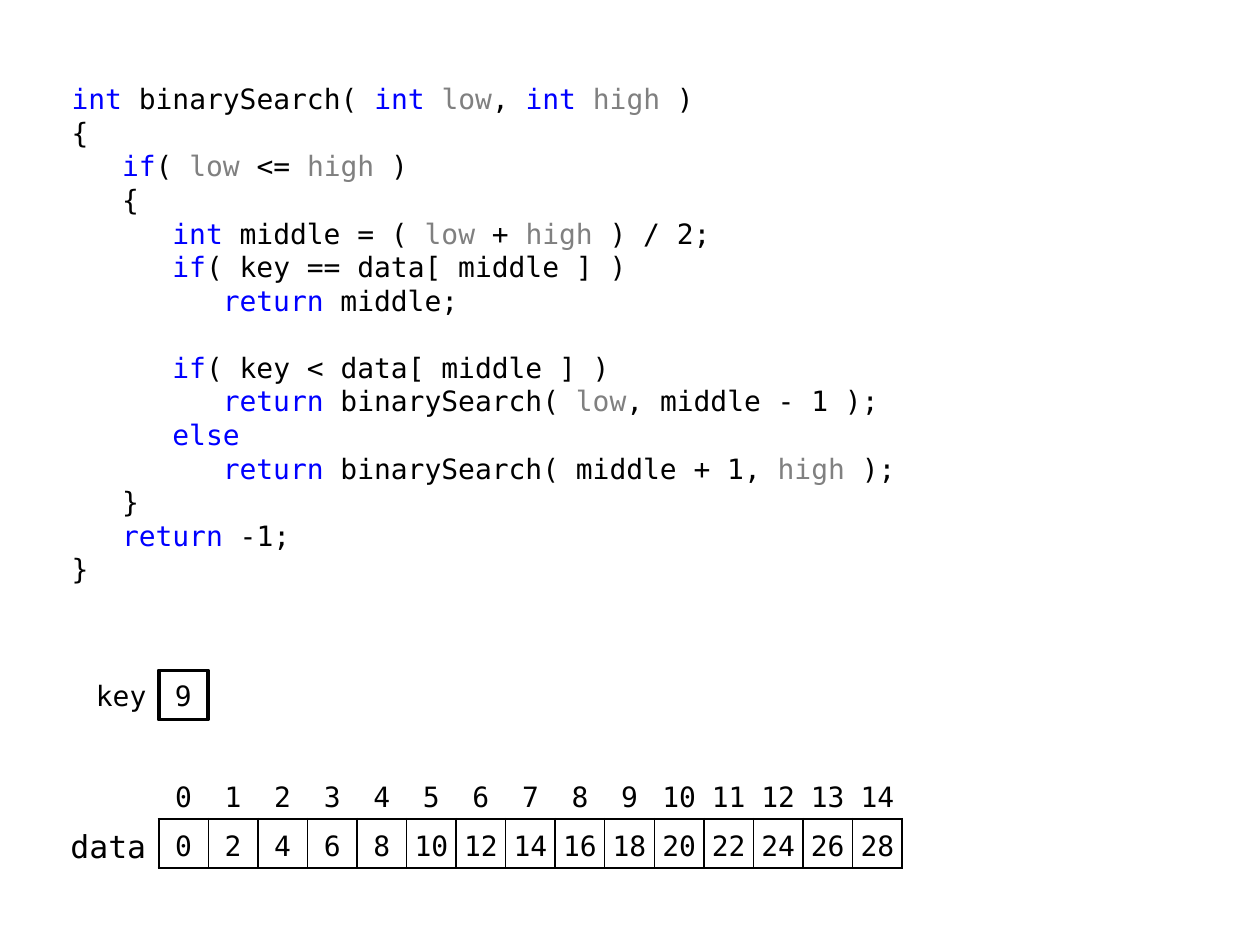
from itertools import groupby

from pptx import Presentation
from pptx.dml.color import RGBColor
from pptx.enum.shapes import MSO_SHAPE
from pptx.enum.text import MSO_ANCHOR, PP_ALIGN
from pptx.oxml import parse_xml
from pptx.oxml.ns import nsdecls
from pptx.util import Inches, Pt

RECT = MSO_SHAPE.RECTANGLE
MIDDLE = MSO_ANCHOR.MIDDLE
CENTER, RIGHT = PP_ALIGN.CENTER, PP_ALIGN.RIGHT

FONT = "DejaVu Sans Mono"
BLACK, WHITE, BLUE, GREY = "000000", "FFFFFF", "0000FF", "808080"
WORD_COLORS = {
    **dict.fromkeys(("int", "if", "else", "return"), BLUE),
    **dict.fromkeys(("low", "high"), GREY),
}
CODE = """\
int binarySearch( int low, int high )
{
   if( low <= high )
   {
      int middle = ( low + high ) / 2;
      if( key == data[ middle ] )
         return middle;

      if( key < data[ middle ] )
         return binarySearch( low, middle - 1 );
      else
         return binarySearch( middle + 1, high );
   }
   return -1;
}"""
TAB_CHARS = 3
TAB_WIDTH = Inches(0.4)
LINE_HEIGHT = Pt(19.2)

DATA = range(0, 30, 2)
CELL = Inches(0.39)
OUTER, INNER = 1.5, 1


def color(hex_value):
    return RGBColor.from_string(hex_value)


def set_all(target, values):
    for name, value in values.items():
        setattr(target, name, value)


def add_run(p, text, hex_value=BLACK, size=16):
    r = p.add_run()
    r.text = text
    set_all(r.font, {"name": FONT, "size": Pt(size), "bold": False})
    r.font.color.rgb = color(hex_value)


def word_color(word):
    return WORD_COLORS.get(word, BLACK)


def add_code(s, left, top, width, height):
    tf = s.shapes.add_textbox(left, top, width, height).text_frame
    tf.word_wrap = True
    p, gap = tf.paragraphs[0], 0
    for number, line in enumerate(CODE.splitlines()):
        code = line.lstrip()
        if not code:
            gap = LINE_HEIGHT
            continue
        if number:
            p = tf.add_paragraph()
        set_all(p, {"line_spacing": LINE_HEIGHT, "space_before": gap})
        gap = 0
        depth = (len(line) - len(code)) // TAB_CHARS
        pPr = p._p.get_or_add_pPr()
        pPr.set("marL", str(depth * TAB_WIDTH))
        pPr.set("indent", "0")
        words = ["".join(chars) for _, chars in groupby(code, str.isalnum)]
        for hex_value, group in groupby(words, word_color):
            add_run(p, "".join(group), hex_value)


def set_borders(cell, widths):
    tcPr = cell._tc.get_or_add_tcPr()
    for side in "LRTB":
        width = widths.get(side, 0)
        paint = (f'<a:solidFill><a:srgbClr val="{BLACK}"/></a:solidFill>'
                 if width else "<a:noFill/>")
        tcPr.append(parse_xml(
            f'<a:ln{side} {nsdecls("a")} w="{Pt(width)}">{paint}</a:ln{side}>'))


def fill_cell(cell, text, borders, fill=None, size=16, align=CENTER, margin=0):
    set_borders(cell, borders)
    if fill:
        cell.fill.solid()
        cell.fill.fore_color.rgb = color(fill)
    else:
        cell.fill.background()
    set_all(cell, {"vertical_anchor": MIDDLE, "margin_left": 0,
                   "margin_right": margin, "margin_top": 0,
                   "margin_bottom": 0})
    p = cell.text_frame.paragraphs[0]
    set_all(p, {"alignment": align, "line_spacing": 1.2,
                "space_before": Pt(0.2 * size)})
    if text:
        add_run(p, text, size=size)


def add_array(s, left, top):
    count = len(DATA)
    label_width, cells_width = Inches(0.79), Inches(5.9)
    table = s.shapes.add_table(2, count + 1, left, top,
                               label_width + cells_width, 2 * CELL).table
    set_all(table, {"first_row": False, "horz_banding": False})
    for row in table.rows:
        row.height = CELL
    for column in table.columns:
        column.width = cells_width // count
    table.columns[0].width = label_width
    fill_cell(table.cell(0, 0), "", {})
    fill_cell(table.cell(1, 0), "data", {"R": OUTER}, size=18, align=RIGHT,
              margin=Inches(0.1))
    for i, value in enumerate(DATA):
        borders = {"L": INNER if i else OUTER, "T": OUTER, "B": OUTER,
                   "R": INNER if i < count - 1 else OUTER}
        fill_cell(table.cell(0, i + 1), str(i), {"B": OUTER})
        fill_cell(table.cell(1, i + 1), str(value), borders, WHITE)


def write_label(tf, text, align, margin_left):
    set_all(tf, {"vertical_anchor": MIDDLE, "word_wrap": True,
                 "margin_left": margin_left})
    p = tf.paragraphs[0]
    p.alignment = align
    add_run(p, text)


def add_variable(s, name, value, left, top, label_width):
    label = s.shapes.add_textbox(left, top, label_width, CELL)
    write_label(label.text_frame, name, RIGHT, 0)
    box = s.shapes.add_shape(RECT, left + label_width, top, CELL, CELL)
    box.shadow.inherit = False
    box.fill.solid()
    box.fill.fore_color.rgb = color(WHITE)
    box.line.color.rgb = color(BLACK)
    box.line.width = Pt(2)
    write_label(box.text_frame, value, CENTER, Inches(0.1))


def main():
    prs = Presentation()
    set_all(prs, {"slide_width": Inches(10), "slide_height": Inches(7.5)})
    s = prs.slides.add_slide(prs.slide_layouts[6])
    add_code(s, Inches(0.47), Inches(0.6), Inches(6.89), Inches(4.13))
    add_array(s, Inches(0.47), Inches(6.11))
    add_variable(s, "key", "9", Inches(0.67), Inches(5.32), Inches(0.59))
    prs.save("out.pptx")


if __name__ == "__main__":
    main()
